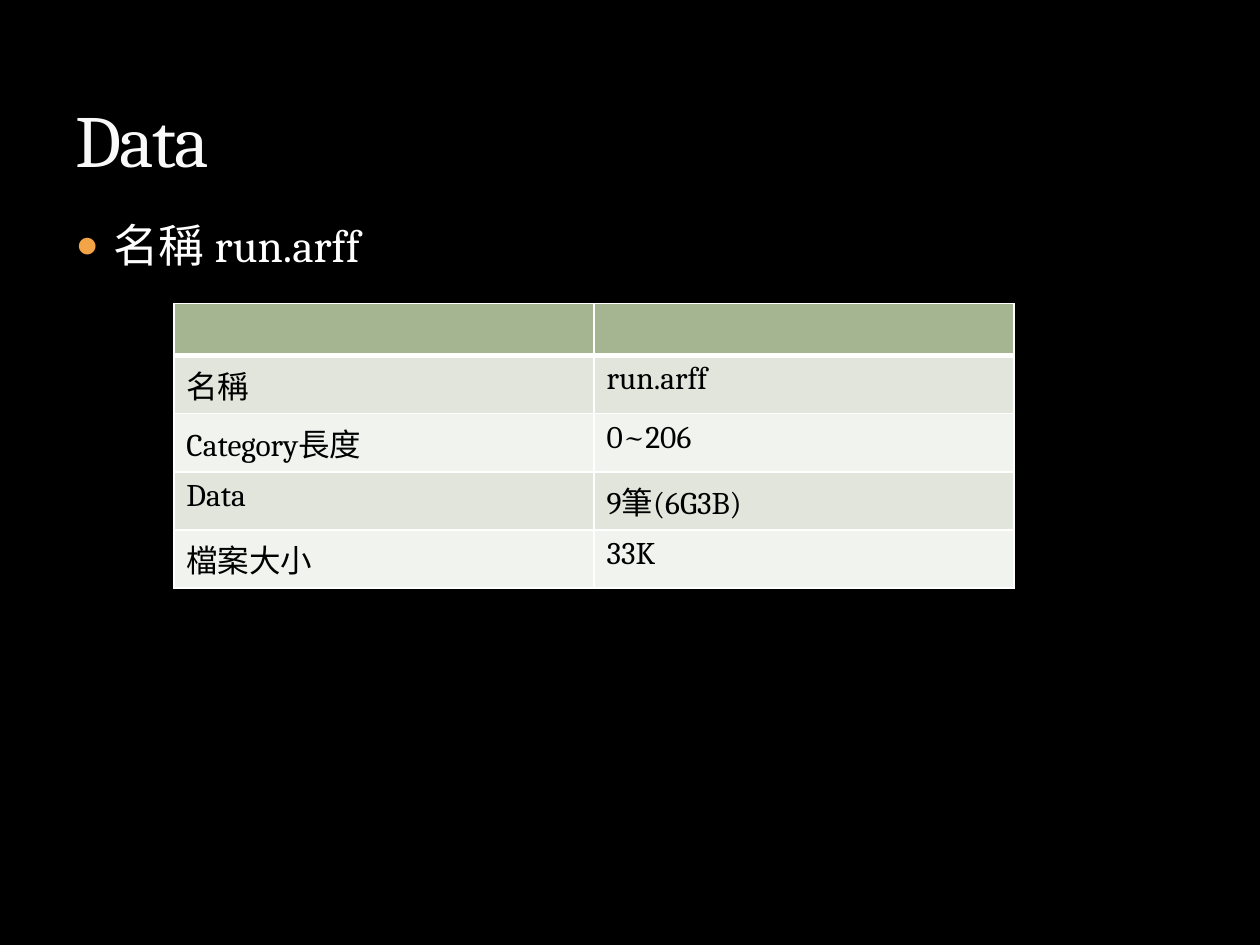
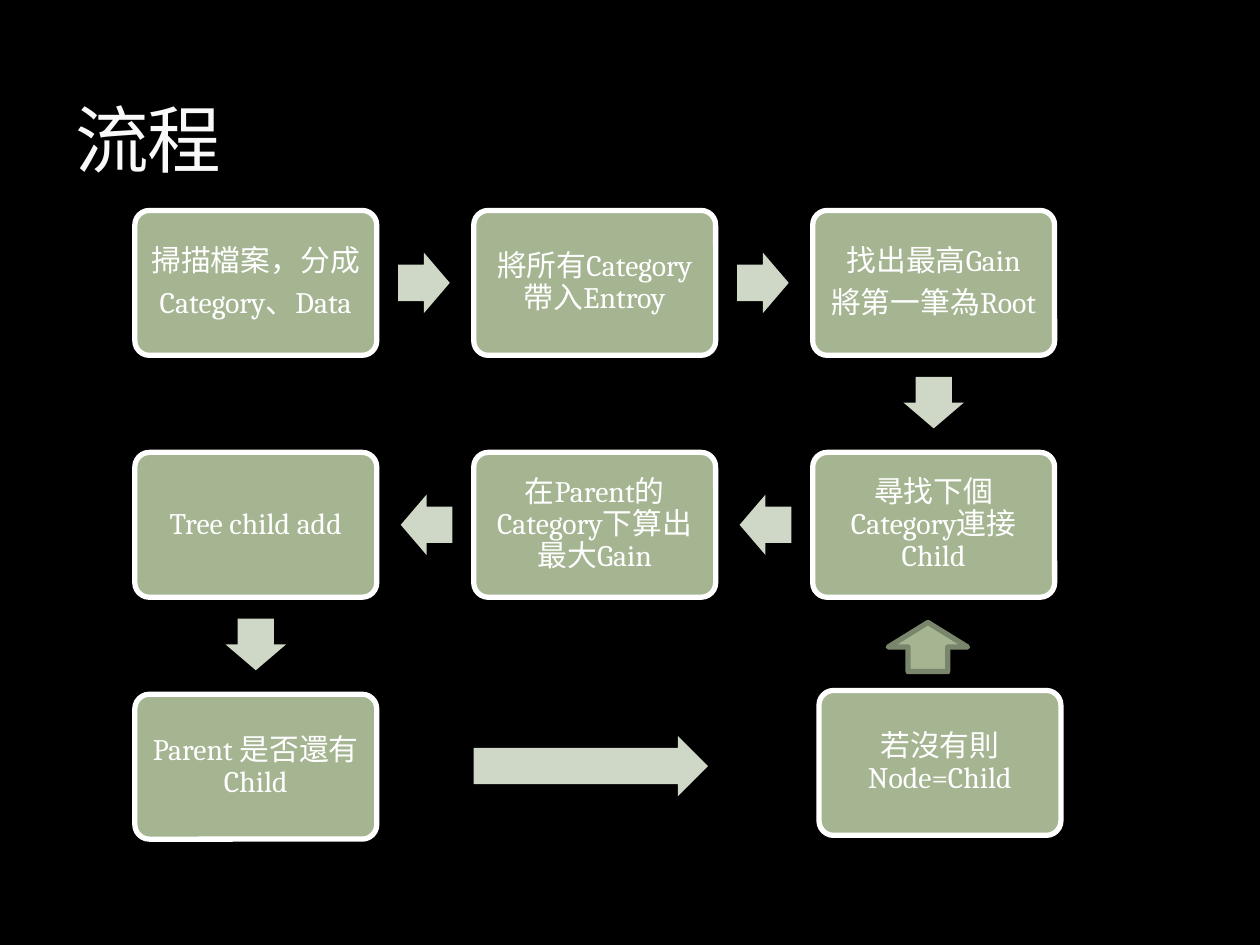
from lxml.etree import SubElement
from pptx import Presentation
from pptx.dml.color import RGBColor
from pptx.enum.shapes import MSO_SHAPE
from pptx.enum.text import MSO_ANCHOR, MSO_AUTO_SIZE, PP_ALIGN
from pptx.oxml import parse_xml
from pptx.oxml.ns import nsdecls, qn
from pptx.util import Inches, Pt

COLORS = {
    "background": "000000", "title": "F9F9F9", "title_edge": "3C4422",
    "text": "FFFFFF", "bullet": "F3A447", "border": "FFFFFF",
    "green": "A5B592", "arrow": "CFD7C7", "edge": "7A866C",
    "band_dark": "E1E5DC", "band_light": "F0F3EE", "cell_text": "000000",
}
FONT = "Cambria"
TITLE_BOX = (0.5, 0.17, 9, 1.33)
BODY_BOX = (0.5, 1.67, 9, 5)

TITLE_FRAME = {"vertical_anchor": MSO_ANCHOR.BOTTOM, "word_wrap": True,
               "auto_size": MSO_AUTO_SIZE.NONE}
BODY_FRAME = {**TITLE_FRAME, "vertical_anchor": MSO_ANCHOR.TOP}
STEP_FRAME = {"vertical_anchor": MSO_ANCHOR.MIDDLE, "word_wrap": True,
              **{f"margin_{side}": Inches(0.07)
                 for side in ("left", "top", "right", "bottom")}}
STEP_PARAGRAPH = {"alignment": PP_ALIGN.CENTER, "line_spacing": 0.9,
                  "space_after": Pt(6)}

# Flow grid: step size, distance between step origins, arrow size and gap
STEP_W, STEP_H = 1.92, 1.15
PITCH_X, PITCH_Y = 2.69, 1.92
ARROW_W, ARROW_H, ARROW_GAP = 0.41, 0.48, 0.17
DIRECTIONS = {"right": (1, 0, 0), "down": (0, 1, 90), "left": (-1, 0, 180)}

# Column, row, lines and direction of the arrow that leaves the step
STEPS = [
    (0, 0, ["掃描檔案，分成", "Category、Data"], "right"),
    (1, 0, ["將所有Category帶入Entroy"], "right"),
    (2, 0, ["找出最高Gain", "將第一筆為Root"], "down"),
    (2, 1, ["尋找下個Category連接Child"], "left"),
    (1, 1, ["在Parent的Category下算出最大Gain"], "left"),
    (0, 1, ["Tree child add"], "down"),
    (0, 2, ["Parent 是否還有Child"], None),
]
DATA_ROWS = [
    ("", ""),
    ("名稱", "run.arff"),
    ("Category長度", "0~206"),
    ("Data", "9筆(6G3B)"),
    ("檔案大小", "33K"),
]


def rgb(name):
    """Return the named colour."""
    return RGBColor.from_string(COLORS[name])


def apply_format(target, values):
    """Set each attribute in values on target."""
    for attribute, value in values.items():
        setattr(target, attribute, value)


def place(part, box):
    """Move a part to a box of left, top, width and height in inches."""
    sides = ("left", "top", "width", "height")
    apply_format(part, {side: Inches(v) for side, v in zip(sides, box)})


def write(paragraph, text, size, color):
    """Add one formatted run to a paragraph and return it."""
    run = paragraph.add_run()
    run.text = text
    apply_format(run.font, {"name": FONT, "size": Pt(size)})
    run.font.color.rgb = rgb(color)
    return run


def add_title(slide, text, box=TITLE_BOX):
    """Fill the title placeholder with finely outlined text."""
    title = slide.shapes.title
    place(title, box)
    apply_format(title.text_frame, TITLE_FRAME)
    paragraph = title.text_frame.paragraphs[0]
    paragraph.alignment = PP_ALIGN.LEFT
    properties = write(paragraph, text, 42, "title")._r.get_or_add_rPr()
    properties.set("spc", "-100")
    properties.insert(0, parse_xml(
        f'<a:ln {nsdecls("a")} w="3175"><a:solidFill>'
        f'<a:srgbClr val="{COLORS["title_edge"]}"><a:alpha val="25000"/>'
        '</a:srgbClr></a:solidFill><a:prstDash val="solid"/></a:ln>'))


def add_bullet(slide, text, box=BODY_BOX):
    """Fill the body placeholder with one bulleted line."""
    body = slide.placeholders[1]
    place(body, box)
    apply_format(body.text_frame, BODY_FRAME)
    paragraph = body.text_frame.paragraphs[0]
    paragraph.space_before = Pt(6)
    write(paragraph, text, 26, "text")
    properties = paragraph._p.get_or_add_pPr()
    properties.set("marL", str(Inches(0.3)))
    properties.set("indent", str(-Inches(0.3)))
    bullet_color = SubElement(properties, qn("a:buClr"))
    SubElement(bullet_color, qn("a:srgbClr"), val=COLORS["bullet"])
    SubElement(properties, qn("a:buSzPct"), val="85000")
    SubElement(properties, qn("a:buChar"), char="●")


def add_borders(cell, widths):
    """Draw the four cell borders, given in points by side."""
    properties = cell._tc.get_or_add_tcPr()
    for side in "LRTB":
        line = SubElement(properties, qn(f"a:ln{side}"),
                          w=str(Pt(widths.get(side, 1))))
        fill = SubElement(line, qn("a:solidFill"))
        SubElement(fill, qn("a:srgbClr"), val=COLORS["border"])


def add_data_table(slide, box):
    """Draw the two-column table of file facts."""
    lengths = [Inches(v) for v in box]
    table = slide.shapes.add_table(len(DATA_ROWS), 2, *lengths).table
    heavy_sides = {0: {"B": 3}, 1: {"T": 3}}
    for r, values in enumerate(DATA_ROWS):
        table.rows[r].height = Inches(0.41)
        band = "green" if r == 0 else ("band_light", "band_dark")[r % 2]
        for c, value in enumerate(values):
            cell = table.cell(r, c)
            add_borders(cell, heavy_sides.get(r, {}))
            cell.fill.solid()
            cell.fill.fore_color.rgb = rgb(band)
            if value:
                write(cell.text_frame.paragraphs[0], value, 18, "cell_text")


def add_block(slide, kind, box, fill, edge=None, adjustments=()):
    """Add a flat preset shape, with a 3 pt edge if one is named."""
    block = slide.shapes.add_shape(kind, *[Inches(v) for v in box])
    block.shadow.inherit = False
    block.fill.solid()
    block.fill.fore_color.rgb = rgb(fill)
    if edge:
        block.line.color.rgb = rgb(edge)
        block.line.width = Pt(3)
    else:
        block.line.fill.background()
    for i, value in enumerate(adjustments):
        block.adjustments[i] = value
    return block


def add_step(slide, left, top, lines):
    """Add one rounded step with its lines of text."""
    step = add_block(slide, MSO_SHAPE.ROUNDED_RECTANGLE,
                     (left, top, STEP_W, STEP_H), "green", "border", [0.1])
    frame = step.text_frame
    apply_format(frame, STEP_FRAME)
    for i, line in enumerate(lines):
        paragraph = frame.add_paragraph() if i else frame.paragraphs[0]
        apply_format(paragraph, STEP_PARAGRAPH)
        write(paragraph, line, 17, "text")


def add_flow_arrow(slide, box, rotation=0):
    """Add one pale arrow."""
    arrow = add_block(slide, MSO_SHAPE.RIGHT_ARROW, box, "arrow",
                      adjustments=[0.6, 0.5])
    arrow.rotation = rotation


def add_exit_arrow(slide, left, top, direction):
    """Add the arrow that leaves the step at left, top."""
    dx, dy, rotation = DIRECTIONS[direction]
    reach = ARROW_GAP + ARROW_W / 2
    center_x = left + STEP_W / 2 + dx * (STEP_W / 2 + reach)
    center_y = top + STEP_H / 2 + dy * (STEP_H / 2 + reach)
    add_flow_arrow(slide, (center_x - ARROW_W / 2, center_y - ARROW_H / 2,
                           ARROW_W, ARROW_H), rotation)


def add_flow(slide, left, top):
    """Draw the winding flow and the loop back to the child search."""
    for column, row, lines, direction in STEPS:
        x, y = left + column * PITCH_X, top + row * PITCH_Y
        add_step(slide, x, y, lines)
        if direction:
            add_exit_arrow(slide, x, y, direction)
    add_flow_arrow(slide, (left + PITCH_X, top + 4.17, 1.86, ARROW_H))
    add_step(slide, left + 5.43, top + 3.81, ["若沒有則Node=Child"])
    add_block(slide, MSO_SHAPE.UP_ARROW,
              (left + 5.98, top + 3.27, 0.63, 0.39), "green", "edge")


def build_data_slide(deck):
    """Build the slide on the data file."""
    slide = deck.slides.add_slide(deck.slide_layouts[1])
    add_title(slide, "Data")
    add_bullet(slide, "名稱 run.arff")
    add_data_table(slide, (1.38, 2.41, 6.67, 2.03))


def build_flow_slide(deck):
    """Build the slide on the process."""
    slide = deck.slides.add_slide(deck.slide_layouts[5])
    add_title(slide, "流程")
    add_flow(slide, 1.07, 1.67)


def main():
    """Build and save both slides."""
    deck = Presentation()
    deck.slide_width, deck.slide_height = Inches(10), Inches(7.5)
    backdrop = deck.slide_master.background.fill
    backdrop.solid()
    backdrop.fore_color.rgb = rgb("background")
    build_data_slide(deck)
    build_flow_slide(deck)
    deck.save("out.pptx")


main()
